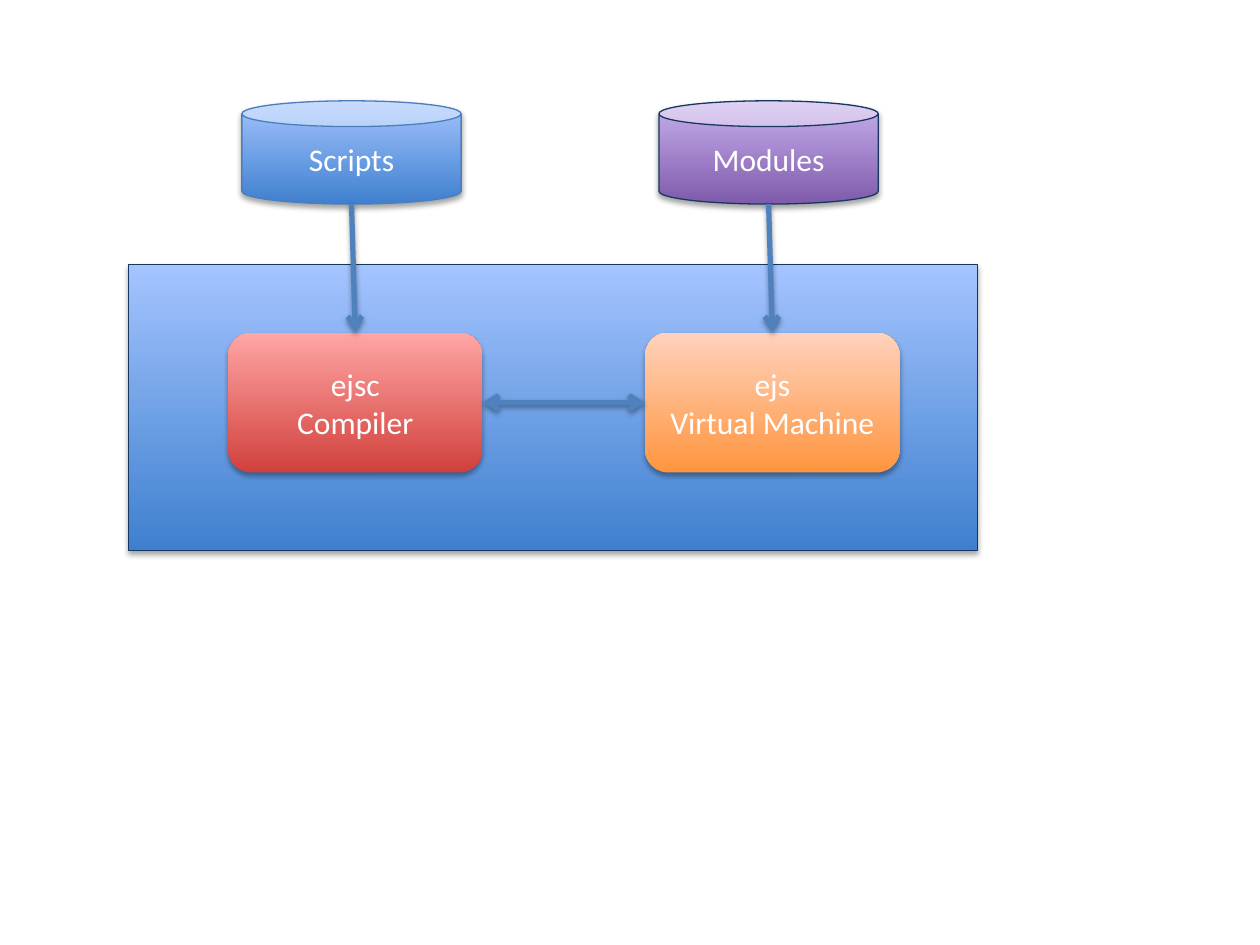
from lxml import etree
from pptx import Presentation
from pptx import util as u
from pptx.dml.color import RGBColor
from pptx.enum import shapes, text
from pptx.oxml.ns import qn

THEME = {
    "font": "Calibri", "size": 18, "text": "FFFFFF",
    "navy": "17375E", "blue": "4B7EBC", "arrow": "4F81BD",
    "thin": 0.75, "thick": 3,
    # gradients run from bottom to top
    "sea": ("3F80CE", "A4C4FF"), "violet": ("7F5BAB", "C8B0ED"),
    "red": ("D1403C", "FFA6A5"), "orange": ("FF953E", "FFD2BD"),
}
WIDTH, HEIGHT = 10, 7.5
COLUMN, PITCH = 2.82, 3.31      # first column centre, distance between columns
STORE_SHIFT = -0.03             # stores sit slightly left of their column
STORE_TOP, STORE_SIZE = 0.8, (1.74, 0.82)
TOOL_TOP, TOOL_SIZE = 2.64, (2.02, 1.11)
RUNTIME = (1.02, 2.1, 6.74, 2.27)

COLUMNS = [
    {"store": ("Scripts", "sea", "blue"), "tool": ("ejsc\vCompiler", "red")},
    {"store": ("Modules", "violet", "navy"), "tool": ("ejs\vVirtual Machine", "orange")},
]


def color(name):
    """Return the theme colour of that name."""
    return RGBColor.from_string(THEME[name])


def add_shadow(effects, blur, distance, alpha):
    """Add a soft black shadow below to an effect list."""
    shadow = etree.SubElement(
        effects, qn("a:outerShdw"), blurRad=str(u.Pt(blur)),
        dist=str(u.Pt(distance)), dir="5400000", rotWithShape="0")
    black = etree.SubElement(shadow, qn("a:srgbClr"), val="000000")
    etree.SubElement(black, qn("a:alpha"), val=str(alpha * 1000))


def add_box(page, kind, place, gradient, outline=None, label=None):
    """Draw a gradient shape with a shadow, an optional outline and label."""
    box = page.shapes.add_shape(kind, *map(u.Inches, place))
    box.fill.gradient()
    box.fill.gradient_angle = 90
    for stop, shade, position in zip(box.fill.gradient_stops, THEME[gradient], (0, 1)):
        stop.color.rgb = RGBColor.from_string(shade)
        stop.position = position
    if outline:
        box.line.color.rgb = color(outline)
        box.line.width = u.Pt(THEME["thin"])
    else:
        box.line.fill.background()
    box.shadow.inherit = False
    add_shadow(box._element.spPr.find(qn("a:effectLst")), 3.1, 1.8, 35)
    if label:
        frame = box.text_frame
        frame.text = label
        frame.vertical_anchor = text.MSO_ANCHOR.MIDDLE
        para = frame.paragraphs[0]
        para.alignment = text.PP_ALIGN.CENTER
        para.font.name = THEME["font"]
        para.font.size = u.Pt(THEME["size"])
        para.font.color.rgb = color("text")


def add_arrow(page, start, end, ends=("tailEnd",)):
    """Draw a thick arrow with open heads at the named ends."""
    arrow = page.shapes.add_connector(
        shapes.MSO_CONNECTOR.STRAIGHT, *map(u.Inches, start + end))
    arrow.line.color.rgb = color("arrow")
    arrow.line.width = u.Pt(THEME["thick"])
    for tag in ends:
        etree.SubElement(arrow.line._get_or_add_ln(), qn("a:" + tag), type="arrow")
    add_shadow(etree.SubElement(arrow._element.spPr, qn("a:effectLst")), 3.1, 1.6, 38)


def centred(centre, top, size):
    """Place a box of a given size around a centre line."""
    return (centre - size[0] / 2, top, *size)


deck = Presentation()
deck.slide_width, deck.slide_height = u.Inches(WIDTH), u.Inches(HEIGHT)
page = deck.slides.add_slide(deck.slide_layouts[6])
kinds = shapes.MSO_SHAPE
centres = [COLUMN + PITCH * index for index in range(len(COLUMNS))]

add_box(page, kinds.RECTANGLE, RUNTIME, "sea", "navy")
for centre, column in zip(centres, COLUMNS):
    label, gradient, outline = column["store"]
    add_box(page, kinds.CAN, centred(centre + STORE_SHIFT, STORE_TOP, STORE_SIZE),
            gradient, outline, label)
    label, gradient = column["tool"]
    add_box(page, kinds.ROUNDED_RECTANGLE, centred(centre, TOOL_TOP, TOOL_SIZE),
            gradient, label=label)

for centre in centres:
    add_arrow(page, (centre + STORE_SHIFT, STORE_TOP + STORE_SIZE[1]), (centre, TOOL_TOP))
middle, reach = TOOL_TOP + TOOL_SIZE[1] / 2, TOOL_SIZE[0] / 2
add_arrow(page, (centres[0] + reach, middle), (centres[1] - reach, middle),
          ("headEnd", "tailEnd"))

deck.save("out.pptx")
